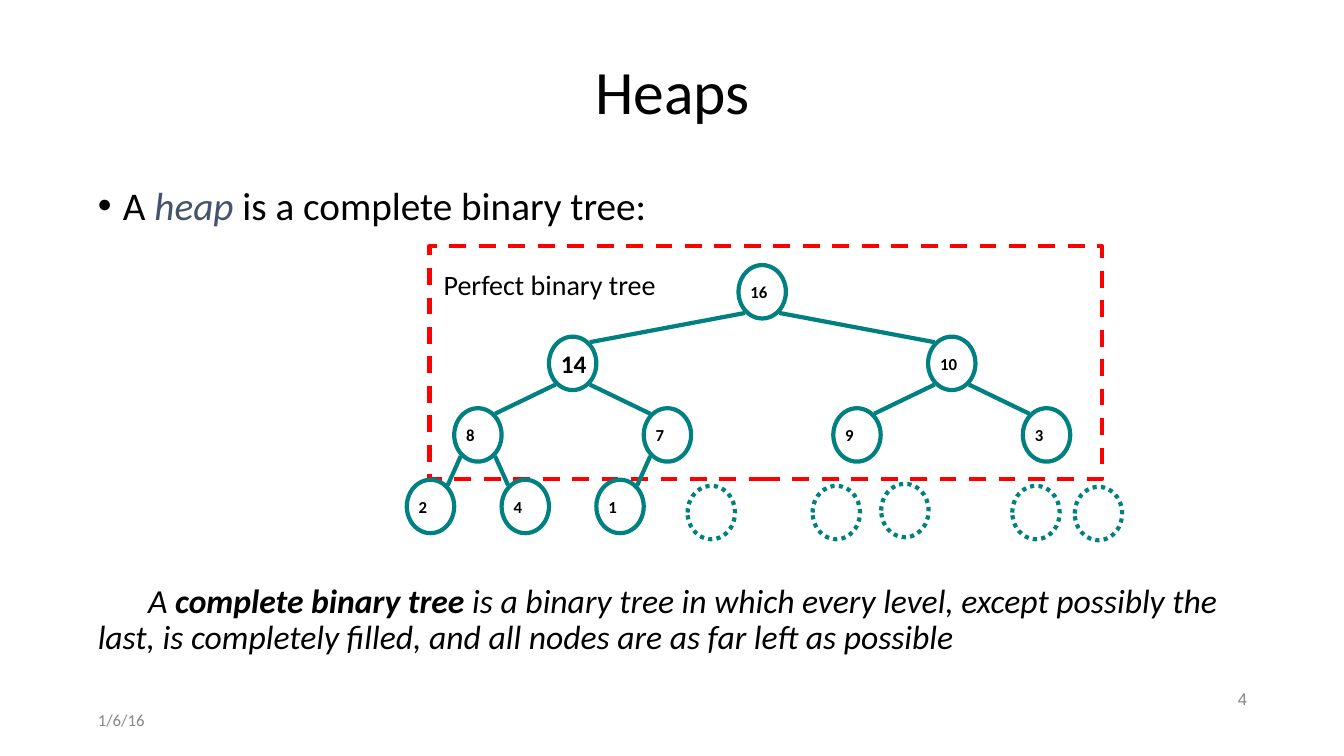
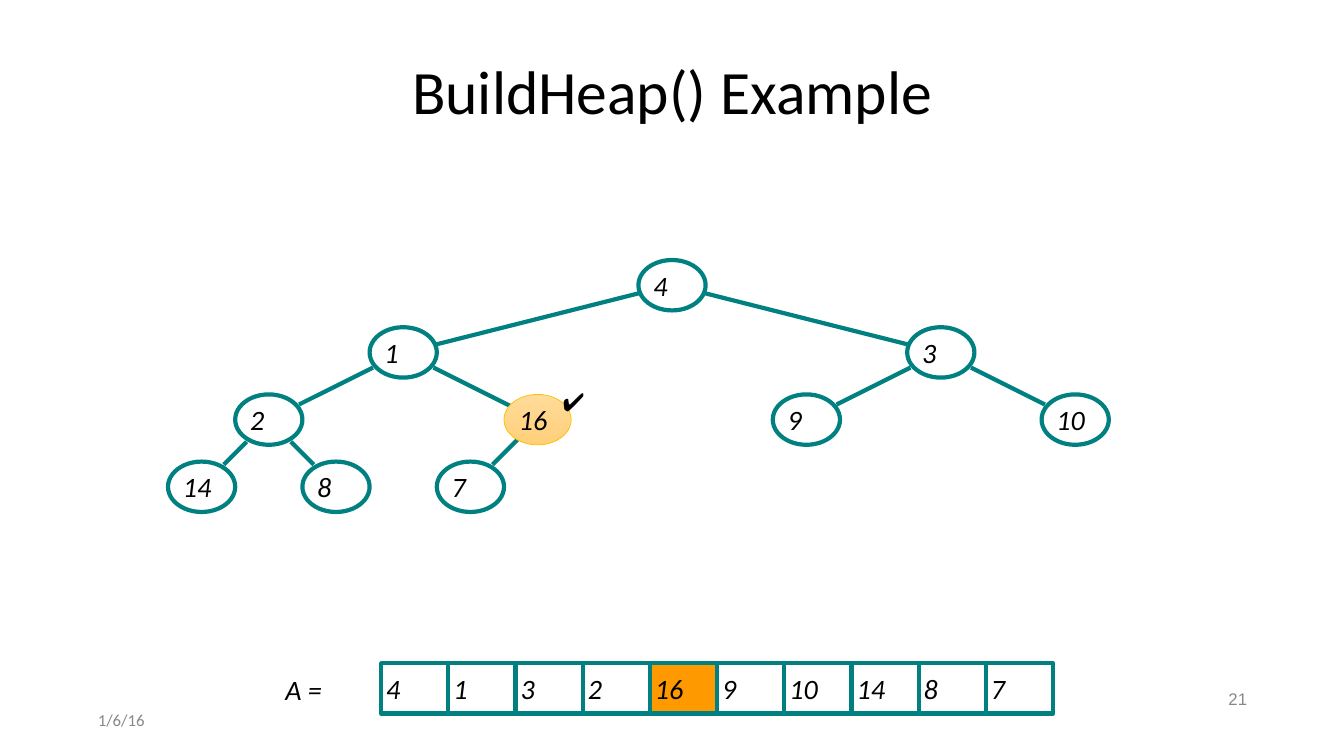
import dataclasses

import lxml.etree
import pptx
import pptx.dml.color
import pptx.enum.dml
import pptx.enum.shapes
import pptx.enum.text
import pptx.oxml.ns
import pptx.util

RGB = pptx.dml.color.RGBColor
ALIGN = pptx.enum.text.PP_ALIGN
ANCHOR = pptx.enum.text.MSO_ANCHOR
DASH = pptx.enum.dml.MSO_LINE
SHAPE = pptx.enum.shapes.MSO_SHAPE
Inches = pptx.util.Inches
Pt = pptx.util.Pt

BLACK = RGB(0x00, 0x00, 0x00)
WHITE = RGB(0xFF, 0xFF, 0xFF)
GREY = RGB(0x88, 0x88, 0x88)
SLATE = RGB(0x44, 0x54, 0x6A)
TEAL = RGB(0x00, 0x80, 0x80)
RED = RGB(0xFF, 0x00, 0x00)
ORANGE = RGB(0xFF, 0x99, 0x00)
GOLD = RGB(0xFF, 0xC0, 0x00)
PALE_GOLD = RGB(0xFF, 0xDB, 0x9B)
WARM_GOLD = RGB(0xFF, 0xD0, 0x78)

SLIDE_W, SLIDE_H = 13.33, 7.5
MARGIN, CONTENT_W = 0.92, 11.5
INSET = 0.05
FONT = {"name": "Calibri", "size": 20, "color": BLACK}
NODE_LINE = {"color": TEAL, "width": 3}


@dataclasses.dataclass
class Tree:
    """Layout of a heap drawn as a binary tree inside a box."""
    left: float
    top: float
    width: float
    row_step: float
    node_w: float
    node_h: float
    ports: tuple

    def center(self, index):
        """Return the centre of the node at a heap index."""
        level = (index + 1).bit_length() - 1
        place = index + 1 - 2 ** level
        x = self.left + self.width * (place + 0.5) / 2 ** level
        return x, self.top + self.row_step * level + self.node_h / 2

    def box(self, index):
        """Return the box of the node at a heap index."""
        x, y = self.center(index)
        return x - self.node_w / 2, y - self.node_h / 2, self.node_w, self.node_h


def lengths(values):
    """Turn numbers of inches into slide lengths."""
    return [Inches(value) for value in values]


def style_font(font, looks):
    """Apply a dict of font values."""
    for key, value in looks.items():
        if key == "color":
            font.color.rgb = value
        else:
            setattr(font, key, Pt(value) if key == "size" else value)


def style_line(line, color, width, dash=None):
    """Set the colour, width and dash of a line."""
    line.color.rgb = color
    line.width = Pt(width)
    if dash is not None:
        line.dash_style = dash


def write(frame, runs, looks, anchor=ANCHOR.TOP, align=ALIGN.LEFT,
          spacing=None, wrap=True, right_inset=INSET):
    """Write one paragraph of (text, looks) runs into a text frame."""
    frame_format = {
        "word_wrap": wrap, "vertical_anchor": anchor,
        "auto_size": pptx.enum.text.MSO_AUTO_SIZE.NONE,
        "margin_left": Inches(INSET), "margin_top": Inches(INSET),
        "margin_right": Inches(right_inset), "margin_bottom": Inches(INSET),
    }
    for key, value in frame_format.items():
        setattr(frame, key, value)
    paragraph = frame.paragraphs[0]
    paragraph.alignment = align
    if spacing:
        paragraph.line_spacing = spacing
    for text, extra in runs:
        run = paragraph.add_run()
        run.text = text
        style_font(run.font, {**FONT, **looks, **extra})
    return paragraph


def add_text(slide, box, runs, looks, **layout):
    """Add a text box and return its paragraph."""
    frame = slide.shapes.add_textbox(*lengths(box)).text_frame
    return write(frame, runs, looks, **layout)


def indent(paragraph, margin, first, bullet=None):
    """Set paragraph indents and an optional bullet."""
    properties = paragraph._p.get_or_add_pPr()
    properties.set("marL", str(Inches(margin)))
    properties.set("indent", str(Inches(first)))
    if bullet:
        for tag, name, value in (("a:buFont", "typeface", "Arial"),
                                 ("a:buChar", "char", bullet)):
            lxml.etree.SubElement(properties, pptx.oxml.ns.qn(tag)).set(name, value)


def add_cell(slide, kind, box, text="", looks=None, fill=WHITE, line=NODE_LINE):
    """Add an outlined shape filled with a colour, a list of colours or nothing."""
    cell = slide.shapes.add_shape(kind, *lengths(box))
    cell.shadow.inherit = False
    if fill is None:
        cell.fill.background()
    elif isinstance(fill, list):
        cell.fill.gradient()
        cell.fill.gradient_angle = 270
        for stop, color in zip(cell.fill.gradient_stops, fill):
            stop.color.rgb = color
    else:
        cell.fill.solid()
        cell.fill.fore_color.rgb = fill
    style_line(cell.line, **line)
    if text:
        write(cell.text_frame, [(text, {})], looks, anchor=ANCHOR.MIDDLE, right_inset=0)


def add_edge(slide, start, end):
    """Add a plain tree edge between two points."""
    edge = slide.shapes.add_connector(
        pptx.enum.shapes.MSO_CONNECTOR.STRAIGHT, *lengths(start + end))
    style_line(edge.line, **NODE_LINE)
    lxml.etree.SubElement(edge._element.spPr, pptx.oxml.ns.qn("a:effectLst"))


def add_tree(slide, tree, values, looks, special=None, highlight=None):
    """Draw a heap; special maps an index to its looks, highlight is drawn last."""
    special = special or {}

    def add_node(index):
        """Draw one node, gilded if highlighted."""
        gilded = {"fill": [PALE_GOLD, WARM_GOLD], "line": {"color": GOLD, "width": 0.5}}
        add_cell(slide, SHAPE.OVAL, tree.box(index), str(values[index]),
                 {**looks, **special.get(index, {})},
                 **(gilded if index == highlight else {}))

    for index in range(len(values)):
        if index != highlight:
            add_node(index)
    for child in range(1, len(values)):
        parent = (child - 1) // 2
        side = -1 if child % 2 else 1
        port = tree.ports[(child + 1).bit_length() - 2]
        ends = []
        for index, sign in ((parent, 1), (child, -1)):
            x, y = tree.center(index)
            dx, dy = (0, 0) if index == highlight else port
            ends.append((x + sign * side * dx, y + sign * dy))
        add_edge(slide, *ends)
    if highlight is not None:
        add_node(highlight)


def add_array(slide, box, values, highlight):
    """Draw the heap array as a row of equal cells."""
    left, top, width, height = box
    cell_w = width / len(values)
    for index, value in enumerate(values):
        add_cell(slide, SHAPE.RECTANGLE, (left + index * cell_w, top, cell_w, height),
                 str(value), {"italic": True},
                 fill=ORANGE if index == highlight else WHITE)


def start_slide(deck, title, number):
    """Add a title-only slide with its title, date and number."""
    slide = deck.slides.add_slide(deck.slide_layouts[5])
    heading = slide.shapes.title
    box = lengths((MARGIN, 0.4, CONTENT_W, 1.07))
    for key, value in zip(("left", "top", "width", "height"), box):
        setattr(heading, key, value)
    write(heading.text_frame, [(title, {})], {"size": 44},
          anchor=ANCHOR.MIDDLE, align=ALIGN.CENTER, spacing=0.9)
    small = {"size": 12, "color": GREY}
    add_text(slide, (MARGIN, 7, 3, 0.29), [("1/6/16", {})], small, anchor=ANCHOR.MIDDLE)
    add_text(slide, (MARGIN + CONTENT_W - 3, 6.8, 3, 0.29), [(str(number), {})],
             {**small, "name": "Arial"}, anchor=ANCHOR.MIDDLE, align=ALIGN.RIGHT,
             spacing=0.9)
    return slide


def heaps_slide(deck):
    """Build the slide that defines a heap."""
    slide = start_slide(deck, "Heaps", 4)
    statement = add_text(
        slide, (MARGIN, 1.8, CONTENT_W, 0.55),
        [("A ", {}), ("heap", {"italic": True, "color": SLATE}),
         (" is a complete binary tree:", {})], {"size": 28}, spacing=0.9)
    indent(statement, 0.25, -0.25, "•")
    definition = add_text(
        slide, (MARGIN, 5.75, CONTENT_W, 0.9),
        [("A ", {}), ("complete binary tree", {"bold": True}),
         (" is a binary tree in which every level, except possibly the last, "
          "is completely filled, and all nodes are as far left as possible", {})],
        {"size": 24, "italic": True}, spacing=0.9)
    indent(definition, 0, 0.5)
    add_text(slide, (4.35, 2.6, 2.21, 0.43), [("Perfect binary tree", {})], {}, wrap=False)
    add_cell(slide, SHAPE.RECTANGLE, (4.26, 2.44, 6.67, 2.31), fill=None,
             line={"color": RED, "width": 3, "dash": DASH.DASH})
    tree = Tree(3.8, 2.63, 7.52, 0.71, 0.47, 0.53, ((0.17, 0.21),) * 3)
    add_tree(slide, tree, [16, 14, 10, 8, 7, 9, 3, 2, 4, 1],
             {"size": 12, "bold": True}, special={1: {"size": 18}})
    for left, top in ((6.82, 4.82), (8.06, 4.82), (8.74, 4.8), (10.66, 4.83), (10.04, 4.82)):
        add_cell(slide, SHAPE.OVAL, (left, top, tree.node_w, tree.node_h),
                 line={**NODE_LINE, "dash": DASH.ROUND_DOT})


def build_heap_slide(deck):
    """Build the slide with one step of BuildHeap."""
    slide = start_slide(deck, "BuildHeap() Example", 21)
    values = [4, 1, 3, 2, 16, 9, 10, 14, 8, 7]
    current = values.index(16)
    cell_w = SLIDE_W / 20
    tree = Tree(2 * cell_w, 2.58, 16 * cell_w, cell_w, cell_w, 0.5,
                ((0.33, 0.08), (0.3, 0.15), (0.22, 0.22)))
    add_array(slide, (3.78, 6.58, 10 * cell_w, 0.5), values, current)
    add_text(slide, (2.78, 6.62, 0.48, 0.43), [("A =", {})], {"italic": True},
             anchor=ANCHOR.MIDDLE, wrap=False)
    add_tree(slide, tree, values, {"italic": True}, highlight=current)
    add_text(slide, (5.53, 3.78, 0.33, 0.35), [("✔︎", {})], {"size": 18}, wrap=False)


def main():
    """Build and save the deck."""
    deck = pptx.Presentation()
    deck.slide_width, deck.slide_height = lengths((SLIDE_W, SLIDE_H))
    heaps_slide(deck)
    build_heap_slide(deck)
    deck.save("out.pptx")


if __name__ == "__main__":
    main()
